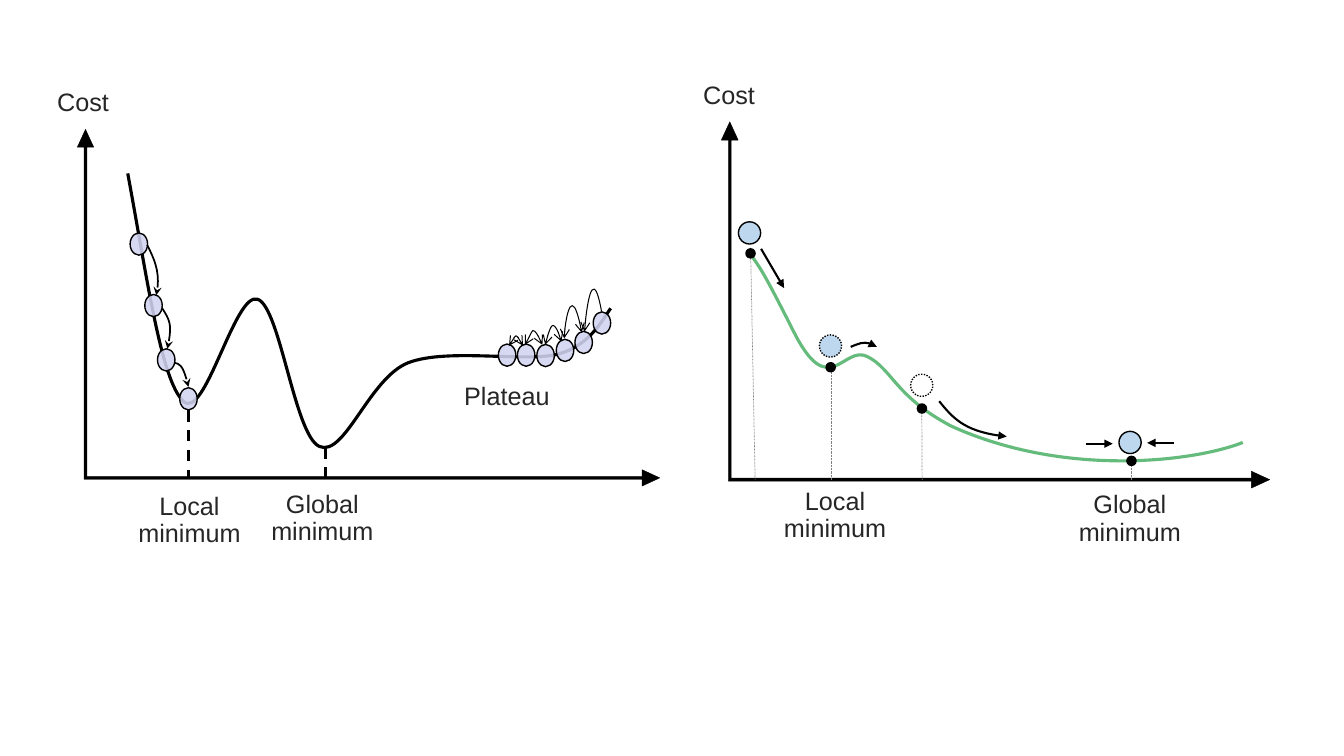
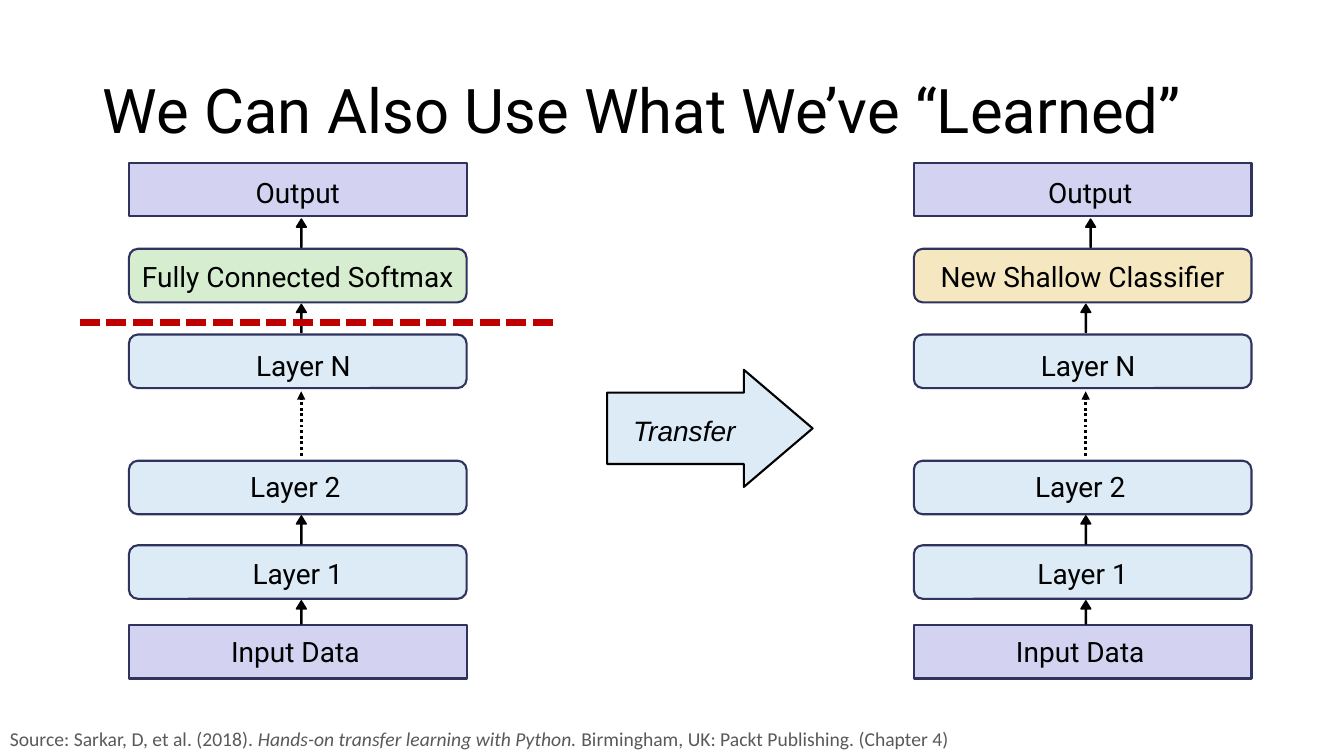
from dataclasses import dataclass, replace

from pptx import Presentation
from pptx.dml.color import RGBColor
from pptx.enum.dml import MSO_LINE_DASH_STYLE as Dash
from pptx.enum.shapes import MSO_CONNECTOR, MSO_SHAPE as Kind
from pptx.enum.text import MSO_ANCHOR as Anchor, MSO_AUTO_SIZE as Fit, PP_ALIGN as Align
from pptx.oxml.ns import qn
from pptx.oxml.xmlchemy import OxmlElement
from pptx.util import Cm, Pt

COLORS = {
    "black": "000000", "label": "262626", "source": "595959", "drop": "808080",
    "lilac": "D2D3F1", "ball": "BDD7EE", "green": "65BB7B", "navy": "30335D",
    "layer": "DCEBF5", "data": "D3D3F1", "softmax": "D6EECF", "shallow": "F5E7BF",
    "cut": "C00000",
}

Point = tuple[float, float]


@dataclass(frozen=True)
class Pen:
    color: str = "black"
    width: float = 1
    dash: Dash | None = None
    head: str | None = None
    tail: str | None = None


@dataclass(frozen=True)
class Box:
    x: float
    y: float
    w: float
    h: float


@dataclass(frozen=True)
class Plot:
    axes: Box
    curve: list[Point]
    color: str
    labels: list[tuple[str, float, float]]


@dataclass(frozen=True)
class Layer:
    text: str
    y: float
    kind: Kind
    fill: str
    dx: float = 0  # text offset from the middle
    dy: float = 0


@dataclass(frozen=True)
class Stack:
    x: float
    mid: float
    shift: float  # offset of the arrow below the output
    rows: list[Layer]


THIN = Pen()
DOTTED = Pen(dash=Dash.ROUND_DOT)
ROLL = Pen(width=1.5, tail="triangle")
FALL = Pen(width=1.25, tail="stealth")
HOP = Pen(width=0.75, head="arrow", tail="arrow")
DROP = Pen("drop", 0.5, Dash.ROUND_DOT)
FLOOR = Pen(width=2, dash=Dash.DASH)


# Shared drawing tools
def rgb(name: str) -> RGBColor:
    return RGBColor.from_string(COLORS[name])


def stroke(item, pen: Pen) -> None:
    item.line.color.rgb = rgb(pen.color)
    item.line.width = Pt(pen.width)
    if pen.dash:
        item.line.dash_style = pen.dash
    ln = item.element.spPr.find(qn("a:ln"))
    for tag, end in (("a:headEnd", pen.head), ("a:tailEnd", pen.tail)):
        if end:
            mark = OxmlElement(tag)
            mark.set("type", end)
            ln.append(mark)


def shape(slide, kind: Kind, box: Box, fill: str | None, pen: Pen,
          adj: tuple[float, ...] = (), alpha: int = 100):
    item = slide.shapes.add_shape(kind, Cm(box.x), Cm(box.y), Cm(box.w), Cm(box.h))
    item.shadow.inherit = False
    for i, value in enumerate(adj):
        item.adjustments[i] = value
    if fill:
        item.fill.solid()
        item.fill.fore_color.rgb = rgb(fill)
    else:
        item.fill.background()
    if alpha < 100:
        node = OxmlElement("a:alpha")
        node.set("val", str(alpha * 1000))
        item.element.spPr.find(qn("a:solidFill"))[0].append(node)
    stroke(item, pen)
    return item


def line(slide, start: Point, end: Point, pen: Pen) -> None:
    item = slide.shapes.add_connector(
        MSO_CONNECTOR.STRAIGHT, *(Cm(v) for v in (*start, *end)))
    stroke(item, pen)
    item.element.spPr.append(OxmlElement("a:effectLst"))


def span(vals: list[float]) -> tuple[int, int]:
    """Return the start and length, on one axis, of joined Bezier arcs."""
    seen = []
    for i in range(0, len(vals) - 1, 3):
        a, b, c, d = vals[i:i + 4]
        for t in (n / 50 for n in range(51)):
            u = 1 - t
            seen.append(a * u**3 + 3 * b * t * u**2 + 3 * c * t**2 * u + d * t**3)
    return Cm(min(seen)), Cm(max(seen) - min(seen))


def bend(slide, pts: list[Point], pen: Pen) -> None:
    """Draw joined cubic arcs: a start, then three points for each arc."""
    ends = [(Cm(x), Cm(y)) for x, y in pts]
    form = slide.shapes.build_freeform(*ends[0])
    form.add_line_segments(ends[1:], close=False)
    item = form.convert_to_shape()
    item.left, item.width = left, wide = span([x for x, _ in pts])
    item.top, item.height = top, high = span([y for _, y in pts])
    trace = next(item.element.iter(qn("a:path")))
    for node, (x, y) in zip(trace.iter(qn("a:pt")), ends):
        node.set("x", str(x - left))
        node.set("y", str(y - top))
    trace.set("w", str(wide))
    trace.set("h", str(high))
    legs = trace.findall(qn("a:lnTo"))
    for i in range(0, len(legs), 3):
        arc = OxmlElement("a:cubicBezTo")
        legs[i].addprevious(arc)
        for leg in legs[i:i + 3]:
            arc.append(leg[0])
            trace.remove(leg)
    item.shadow.inherit = False
    item.fill.background()
    stroke(item, pen)


def write(frame, *runs: str, size: float = 18, font: str = "Arial",
          color: str = "black", align: Align = Align.CENTER,
          anchor: Anchor = Anchor.TOP, gap: float = 1, slant: int | None = None,
          pad: tuple[float, float, float, float] = (0.25, 0.13, 0.25, 0.13)) -> None:
    """Set the text; slant is the italic run, pad the insets from the left round."""
    frame.word_wrap = True
    frame.auto_size = Fit.NONE
    frame.vertical_anchor = anchor
    (frame.margin_left, frame.margin_top,
     frame.margin_right, frame.margin_bottom) = (Cm(v) for v in pad)
    par = frame.paragraphs[0]
    par.alignment, par.line_spacing = align, gap
    for i, text in enumerate(runs):
        run = par.add_run()
        run.text = text
        run.font.size, run.font.name = Pt(size), font
        run.font.italic = i == slant
        run.font.color.rgb = rgb(color)


def note(slide, box: Box, *runs: str, **style) -> None:
    item = slide.shapes.add_textbox(Cm(box.x), Cm(box.y), Cm(box.w), Cm(box.h))
    write(item.text_frame, *runs, **style)


# Slide 1: cost curves
LEFT = Plot(
    Box(1.95, 3.26, 14.68, 8.99),
    [(3.22, 4.37), (3.71, 7.01), (4.06, 9.58), (4.62, 10.11),
     (5.16, 10.64), (5.92, 7.34), (6.49, 7.54), (7.06, 7.72), (7.42, 10.97), (8.05, 11.25),
     (8.69, 11.53), (9.3, 9.53), (10.29, 9.14), (11.28, 8.76), (13.28, 9.14), (14.07, 8.92),
     (14.86, 8.71), (15.19, 8.05), (15.39, 7.77)],
    "black",
    [("Cost", 0.34, 2.13), ("Local minimum", 3.02, 12.31),
     ("Global minimum", 6.37, 12.26), ("Plateau", 11.02, 9.55)])
RIGHT = Plot(
    Box(18.18, 3.07, 13.82, 9.23),
    [(18.92, 6.4), (19.18, 6.83), (19.08, 6.53), (19.99, 8.33),
     (20.9, 10.16), (21.26, 8.66), (21.87, 8.99), (22.48, 9.3), (22.58, 10.01), (23.98, 10.74),
     (26.85, 12.04), (30.1, 11.63), (31.32, 11.15)],
    "green",
    [("Cost", 16.62, 1.96), ("Local minimum", 19.29, 12.19),
     ("Global minimum", 26.72, 12.27)])

STEPS = [(3.28, 5.87), (3.65, 7.42), (3.97, 8.79), (4.53, 9.77), (12.56, 8.67),
         (13.04, 8.67), (13.53, 8.68), (14.02, 8.55), (14.49, 8.35), (14.95, 7.86)]
FALLS = [
    [(3.71, 6.17), (3.89, 6.53), (4.06, 6.91), (3.94, 7.44)],
    [(4.09, 7.77), (4.29, 8.08), (4.34, 8.23), (4.22, 8.79)],
    [(4.39, 9.14), (4.52, 9.17), (4.62, 9.19), (4.75, 9.75)],
]
HOPS = [
    [(12.83, 8.71), (12.93, 8.51), (13.03, 8.33), (13.18, 8.71)],
    [(13.23, 8.69), (13.36, 8.48), (13.44, 8.1), (13.67, 8.69)],
    [(13.74, 8.69), (13.82, 8.33), (13.97, 7.95), (14.15, 8.61)],
    [(14.22, 8.53), (14.22, 8.08), (14.45, 7.16), (14.66, 8.38)],
]
LAST = [(14.73, 8.36), (14.81, 7.34), (14.99, 6.88), (15.16, 7.85)]
BALLS = [(18.61, 5.59, "ball", THIN), (20.65, 8.44, "ball", DOTTED),
         (22.95, 9.43, None, DOTTED), (28.2, 10.87, "ball", THIN)]
DOTS = [(18.8, 6.27), (20.82, 9.14), (23.12, 10.18), (28.4, 11.5)]
DROPS = [(19.03, 18.92, 6.5), (20.94, 20.94, 9.37),
         (23.24, 23.23, 10.34), (28.5, 28.5, 11.56)]
PUSHES = [((19.18, 6.27), (19.76, 7.26)), ((27.36, 11.18), (28.04, 11.18)),
          ((29.59, 11.16), (28.91, 11.16))]
ROLLS = [
    [(21.44, 8.74), (21.64, 8.66), (21.84, 8.56), (22.1, 8.74)],
    [(23.67, 10.11), (24, 10.52), (24.33, 10.9), (25.37, 11)],
]


def plot(slide, part: Plot) -> None:
    axes = shape(slide, Kind.LEFT_UP_ARROW, part.axes, "black", Pen(width=0.25),
                 adj=(0.008, 0.023, 0.05))
    axes.element.spPr.find(qn("a:xfrm")).set("flipH", "1")
    for text, x, y in part.labels:
        note(slide, Box(x, y, 3.51, 1.75), text, color="label", gap=0.9)
    bend(slide, part.curve, Pen(part.color, 2.25))


def costs(deck) -> None:
    slide = deck.slides.add_slide(deck.slide_layouts[6])
    # Steps that stall on a plateau
    plot(slide, LEFT)
    for x, y in STEPS:
        shape(slide, Kind.OVAL, Box(x, y, 0.44, 0.56), "lilac", THIN, alpha=88)
    for x, y in ((4.75, 10.34), (8.2, 11.28)):
        line(slide, (x, y), (x, 12.07), FLOOR)
    for group, pen in ((FALLS, FALL), (HOPS, HOP), ([LAST], replace(HOP, tail=None))):
        for pts in group:
            bend(slide, pts, pen)
    # Ball that rolls past the local minimum
    plot(slide, RIGHT)
    for x, y, fill, pen in BALLS:
        shape(slide, Kind.OVAL, Box(x, y, 0.56, 0.56), fill, pen)
    for start, end in PUSHES:
        line(slide, start, end, ROLL)
    for pts in ROLLS:
        bend(slide, pts, ROLL)
    for base, x, y in DROPS:
        line(slide, (base, 12.09), (x, y), DROP)
    for x, y in DOTS:
        shape(slide, Kind.OVAL, Box(x, y, 0.23, 0.23), "black", THIN)


# Slide 2: transfer learning
SOFT, HARD = Kind.ROUNDED_RECTANGLE, Kind.RECTANGLE
SHARED = [
    Layer("Layer N", 8.43, SOFT, "layer", 0.14, 0.09),
    Layer("Layer 2", 11.61, SOFT, "layer", -0.06, -0.03),
    Layer("Layer 1", 13.74, SOFT, "layer", 0, 0.03),
    Layer("Input Data", 15.75, HARD, "data", -0.06, -0.02),
]
OUTPUT = Layer("Output", 4.1, HARD, "data", 0, 0.06)
STACKS = [
    Stack(3.25, 7.59, 0, [
        OUTPUT, Layer("Fully Connected Softmax", 6.27, SOFT, "softmax", 0, 0.03)]),
    Stack(23.03, 27.36, 0.12, [
        replace(OUTPUT, dx=0.19),
        Layer("New Shallow Classifier", 6.27, SOFT, "shallow", 0, 0.03)]),
]
RISES = [(7.67, 0.71), (13, 0.71), (15.14, 0.58)]


def tower(slide, part: Stack) -> None:
    for row in (*part.rows, *SHARED):
        item = shape(slide, row.kind, Box(part.x, row.y, 8.51, 1.35), row.fill,
                     Pen("navy", 1.5))
        pad = tuple(max(0, 2 * v) for v in (row.dx, row.dy, -row.dx, -row.dy))
        write(item.text_frame, row.text, size=20, font="Roboto",
              anchor=Anchor.MIDDLE, pad=pad)
    for x, y, h in ((part.shift, 5.52, 0.71), *((0, *rise) for rise in RISES)):
        shape(slide, Kind.UP_ARROW, Box(part.mid + x - 0.12, y, 0.25, h), "black", THIN,
              adj=(0.119, 0.813))
    line(slide, (part.mid, 11.48), (part.mid, 9.86),
         Pen(width=2, dash=Dash.ROUND_DOT, tail="triangle"))


def transfer(deck) -> None:
    slide = deck.slides.add_slide(deck.slide_layouts[5])
    title = slide.shapes.title
    title.left, title.top, title.width, title.height = (
        Cm(v) for v in (2.34, 1.02, 29.21, 3.68))
    write(title.text_frame, "We Can Also Use What We’ve “Learned”", size=44,
          font="Roboto", align=Align.LEFT, anchor=Anchor.MIDDLE, gap=0.9)
    for part in STACKS:
        tower(slide, part)
    # Transfer arrow, cut line and source
    arrow = shape(slide, Kind.RIGHT_ARROW, Box(15.3, 9.32, 5.18, 2.95), "layer",
                  Pen(width=1.5), adj=(0.609, 0.587))
    write(arrow.text_frame, "Transfer", size=20, anchor=Anchor.MIDDLE, slant=0,
          pad=(0, 0.1, 0.23, 0))
    line(slide, (2.01, 8.12), (14.02, 8.12), Pen("cut", 4.75, Dash.SQUARE_DOT))
    note(slide, Box(0, 18.19, 33.87, 0.86), "Source: Sarkar, D, et al. (2018). ",
         "Hands-on transfer learning with Python. ",
         "Birmingham, UK: Packt Publishing. (Chapter 4)",
         size=14, font="Calibri", color="source", align=Align.LEFT, slant=1)


def main() -> None:
    deck = Presentation()
    deck.slide_width, deck.slide_height = Cm(33.87), Cm(19.05)
    costs(deck)
    transfer(deck)
    deck.save("out.pptx")


if __name__ == "__main__":
    main()
